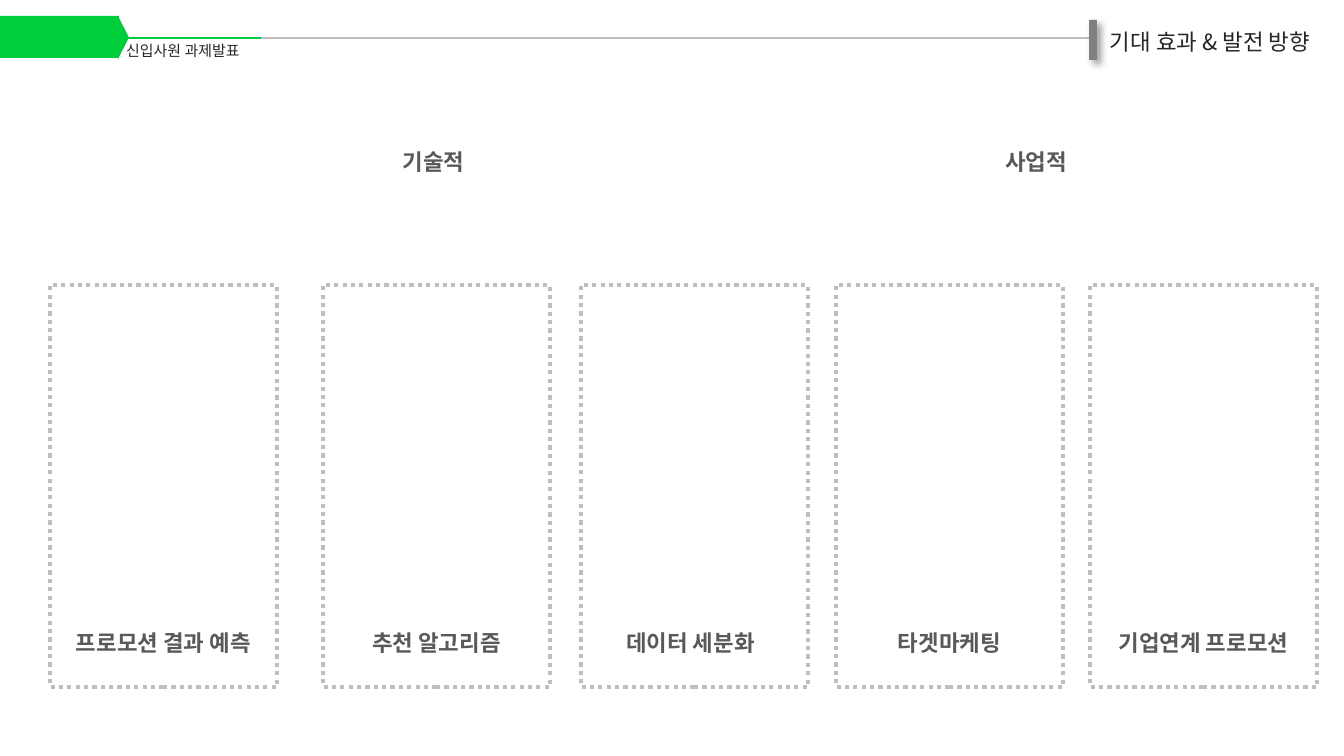
from dataclasses import dataclass

from lxml.etree import SubElement
from pptx import Presentation
from pptx.dml.color import RGBColor
from pptx.enum.dml import MSO_LINE
from pptx.enum.shapes import MSO_CONNECTOR, MSO_SHAPE
from pptx.enum.text import MSO_ANCHOR, MSO_AUTO_SIZE, PP_ALIGN
from pptx.oxml.ns import qn
from pptx.util import Emu, Pt

PX = 914400 / 134.4


@dataclass(frozen=True)
class Theme:
    font: str = "Noto Sans CJK KR"
    green: str = "00CD3C"
    bar: str = "808080"
    rule: str = "BFBFBF"
    ink: str = "262626"
    label: str = "595959"
    shadow: str = "000000"
    caption_size: int = 8
    text_size: int = 12


THEME = Theme()

# Left edge of each card, its label, and the label's shift from the card's middle
CARDS = [
    (50, "프로모션 결과 예측", 0),
    (323, "추천 알고리즘", 0),
    (581, "데이터 세분화", -4),
    (836, "타겟마케팅", 0),
    (1090, "기업연계 프로모션", 0),
]
CARD_TOP, CARD_WIDTH, CARD_HEIGHT = 285, 227, 402
LABEL_TOP, LABEL_WIDTH, LABEL_HEIGHT = 622, 206, 42

# Left edge and text of the group headings
HEADINGS = [(333, "기술적 "), (933, "사업적")]
HEADING_TOP = 141


def px(value):
    return Emu(round(value * PX))


def color(value):
    return RGBColor.from_string(value)


def format_text(shape, text, size, ink, bold=False):
    frame = shape.text_frame
    frame.text = text
    frame.word_wrap = True
    frame.auto_size = MSO_AUTO_SIZE.SHAPE_TO_FIT_TEXT
    frame.vertical_anchor = MSO_ANCHOR.TOP
    frame.margin_left = frame.margin_right = px(7)
    frame.margin_top = frame.margin_bottom = px(7)
    paragraph = frame.paragraphs[0]
    paragraph.alignment = PP_ALIGN.CENTER
    font = paragraph.font
    font.name, font.size, font.bold = THEME.font, Pt(size), bold
    font.color.rgb = color(ink)
    # Korean text takes the East Asian typeface
    properties = paragraph._p.get_or_add_pPr().find(qn("a:defRPr"))
    SubElement(properties, qn("a:ea"), typeface=THEME.font)
    for run in paragraph.runs:
        run.font.name = THEME.font
        SubElement(run._r.get_or_add_rPr(), qn("a:ea"), typeface=THEME.font)


def add_text(slide, box, text, size, ink, bold=False):
    shape = slide.shapes.add_textbox(*map(px, box))
    format_text(shape, text, size, ink, bold)


def add_title(slide, box, text):
    title = slide.shapes.title
    title.left, title.top, title.width, title.height = map(px, box)
    format_text(title, text, THEME.text_size, THEME.ink)


def add_filled(slide, kind, box, fill, rotation=0):
    shape = slide.shapes.add_shape(kind, *map(px, box))
    shape.shadow.inherit = False
    shape.fill.solid()
    shape.fill.fore_color.rgb = color(fill)
    shape.line.fill.background()
    shape.rotation = rotation
    return shape


def add_shadow(shape):
    effects = shape._element.spPr.find(qn("a:effectLst"))
    shadow = SubElement(effects, qn("a:outerShdw"), blurRad=str(Pt(4)),
                        dist=str(Pt(3)), dir="2700000", algn="tl", rotWithShape="0")
    shade = SubElement(shadow, qn("a:srgbClr"), val=THEME.shadow)
    SubElement(shade, qn("a:alpha"), val="40000")


def add_rule(slide, start, end, y, stroke):
    rule = slide.shapes.add_connector(MSO_CONNECTOR.STRAIGHT,
                                      px(start), px(y), px(end), px(y))
    rule.line.color.rgb = color(stroke)
    rule.line.width = Pt(1)
    SubElement(rule._element.spPr, qn("a:effectLst"))


def add_card(slide, left, text, shift):
    card = slide.shapes.add_shape(
        MSO_SHAPE.RECTANGLE, *map(px, (left, CARD_TOP, CARD_WIDTH, CARD_HEIGHT)))
    card.shadow.inherit = False
    card.fill.background()
    card.line.color.rgb = color(THEME.rule)
    card.line.width = Pt(2.25)
    card.line.dash_style = MSO_LINE.ROUND_DOT
    label_left = left + (CARD_WIDTH - LABEL_WIDTH) / 2 + shift
    add_text(slide, (label_left, LABEL_TOP, LABEL_WIDTH, LABEL_HEIGHT),
             text, THEME.text_size, THEME.label, bold=True)


def add_header(slide):
    add_rule(slide, 50, 1095, 38, THEME.rule)
    add_title(slide, (1093, 21, 234, 42), "기대 효과 & 발전 방향")
    bar = add_filled(slide, MSO_SHAPE.RECTANGLE, (1089, 20, 8, 40), THEME.bar)
    add_shadow(bar)
    # Green tab with its pointed end
    add_rule(slide, 124, 261, 38, THEME.green)
    add_filled(slide, MSO_SHAPE.RECTANGLE, (-1, 16, 120, 42), THEME.green)
    add_filled(slide, MSO_SHAPE.ISOSCELES_TRIANGLE, (102, 32, 43, 11),
               THEME.green, rotation=90)
    add_text(slide, (66, 35, 234, 34), "신입사원 과제발표",
             THEME.caption_size, THEME.ink)


def main():
    presentation = Presentation()
    presentation.slide_width, presentation.slide_height = px(1344), px(756)
    slide = presentation.slides.add_slide(presentation.slide_layouts[5])

    add_header(slide)
    for left, text in HEADINGS:
        add_text(slide, (left, HEADING_TOP, LABEL_WIDTH, LABEL_HEIGHT),
                 text, THEME.text_size, THEME.label, bold=True)
    for left, text, shift in CARDS:
        add_card(slide, left, text, shift)

    presentation.save("out.pptx")


if __name__ == "__main__":
    main()
